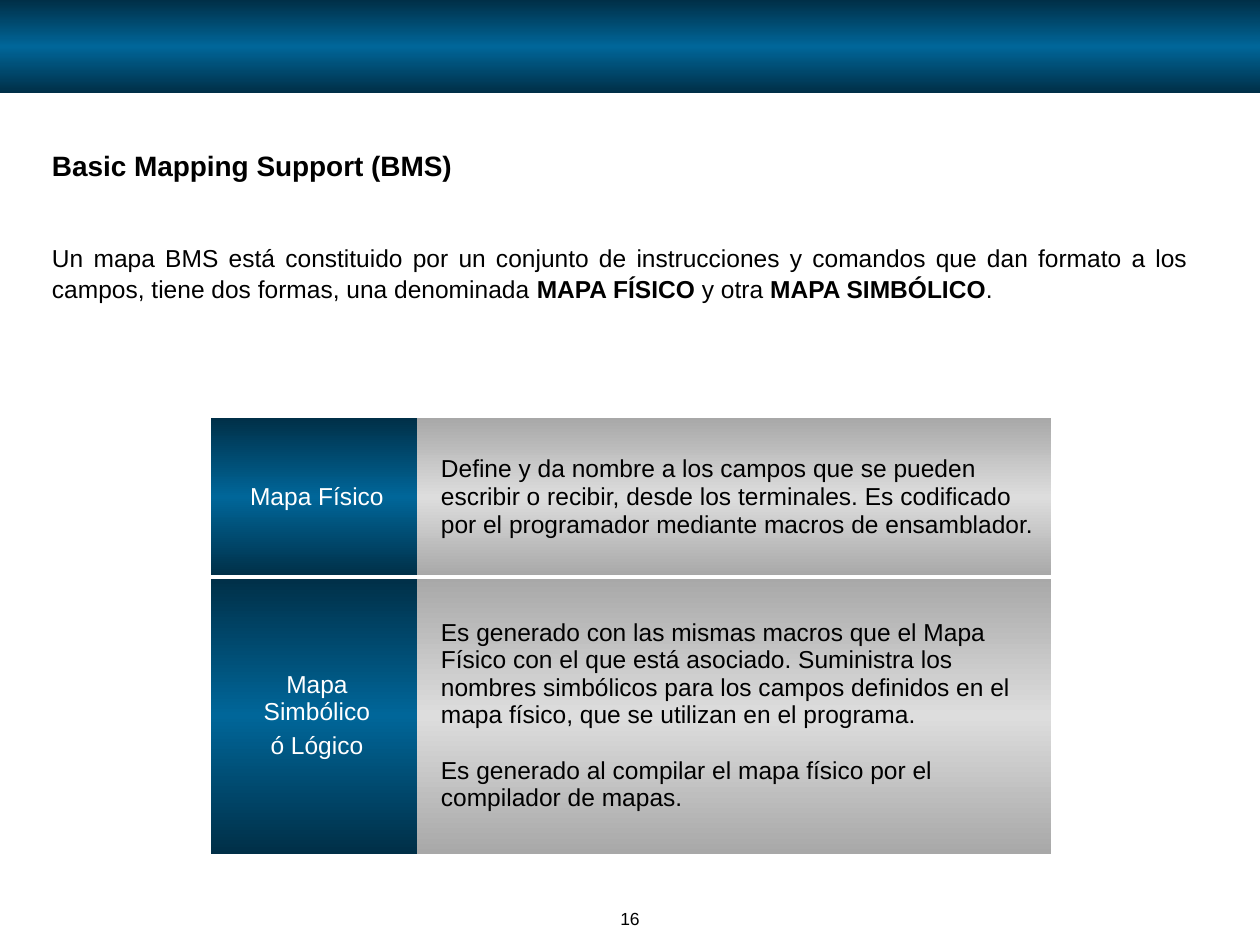
from lxml import etree
from pptx import Presentation
from pptx.dml.color import RGBColor
from pptx.enum.shapes import MSO_SHAPE
from pptx.enum.text import MSO_ANCHOR, PP_ALIGN
from pptx.oxml.ns import qn
from pptx.util import Emu, Pt

RECTANGLE = MSO_SHAPE.RECTANGLE
MIDDLE, BOTTOM, TOP = MSO_ANCHOR.MIDDLE, MSO_ANCHOR.BOTTOM, MSO_ANCHOR.TOP
LEFT, CENTER, JUSTIFY = PP_ALIGN.LEFT, PP_ALIGN.CENTER, PP_ALIGN.JUSTIFY

BLUE = ("002F47", "006699", "002F47")
GRAY = ("A8A8A8", "DDDDDD", "A8A8A8")
BLACK, WHITE = "000000", "FFFFFF"
THIN, THICK = 0.45, 3

HEADING = [("Basic Mapping Support (BMS)", True)]
INTRODUCTION = [
    ("Un mapa BMS está constituido por un conjunto de instrucciones y comandos "
     "que dan formato a los campos, tiene dos formas, una denominada ", False),
    ("MAPA FÍSICO", True),
    (" y otra ", False),
    ("MAPA SIMBÓLICO", True),
    (".", False),
]
MAPS = [
    (["Mapa Físico"],
     ["Define y da nombre a los campos que se pueden escribir o recibir, desde los "
      "terminales. Es codificado por el programador mediante macros de ensamblador."]),
    (["Mapa Simbólico", "ó Lógico"],
     ["Es generado con las mismas macros que el Mapa Físico con el que está asociado. "
      "Suministra los nombres simbólicos para los campos definidos en el mapa físico, "
      "que se utilizan en el programa.",
      "Es generado al compilar el mapa físico por el compilador de mapas."]),
]
PAGE_NUMBER = "16"
COLUMN_WIDTHS = (207, 634)
ROW_HEIGHTS = (160, 277)


def px(length):
    return Emu(round(length * 914400 / 126))


def color(value):
    return RGBColor.from_string(value)


def write(frame, paragraphs, size=14, ink=BLACK, align=LEFT, gap=0, spacing=None):
    for index, spans in enumerate(paragraphs):
        para = frame.paragraphs[0] if index == 0 else frame.add_paragraph()
        para.alignment = align
        para.line_spacing = spacing
        if index:
            para.space_before = Pt(gap)
        for text, bold in [(spans, False)] if isinstance(spans, str) else spans:
            span = para.add_run()
            span.text = text
            span.font.name = "Arial"
            span.font.size = Pt(size)
            span.font.bold = bold
            span.font.color.rgb = color(ink)


def fill_gradient(fill, parent, stops):
    fill.gradient()
    fill.gradient_angle = 90
    stop_list = parent.find(qn("a:gradFill")).find(qn("a:gsLst"))
    for stop in list(stop_list):
        stop_list.remove(stop)
    for index, value in enumerate(stops):
        stop = etree.SubElement(stop_list, qn("a:gs"), pos=str(index * 50000))
        etree.SubElement(stop, qn("a:srgbClr"), val=value)


def set_borders(properties, widths):
    for index, (side, width) in enumerate(widths.items()):
        line = etree.Element(qn("a:ln" + side), w=str(Pt(width)))
        if width:
            solid = etree.SubElement(line, qn("a:solidFill"))
            etree.SubElement(solid, qn("a:srgbClr"), val=WHITE)
        else:
            etree.SubElement(line, qn("a:noFill"))
        properties.insert(index, line)


def add_text(page, left, top, width, height, anchor=TOP, wrap=True):
    frame = page.shapes.add_textbox(px(left), px(top), px(width), px(height)).text_frame
    frame.word_wrap = wrap
    frame.vertical_anchor = anchor
    return frame


def add_banner(page):
    banner = page.shapes.add_shape(RECTANGLE, 0, 0, px(1260), px(93))
    banner.shadow.inherit = False
    banner.line.fill.background()
    fill_gradient(banner.fill, banner._element.spPr, BLUE)


def add_map_table(page):
    table = page.shapes.add_table(
        len(MAPS), 2, px(210), px(417), px(sum(COLUMN_WIDTHS)), px(sum(ROW_HEIGHTS))
    ).table
    table.first_row = False
    table.horz_banding = False
    for column, width in zip(table.columns, COLUMN_WIDTHS):
        column.width = px(width)
    for row, height in zip(table.rows, ROW_HEIGHTS):
        row.height = px(height)
    for row_index, (name, description) in enumerate(MAPS):
        styles = [
            (name, BLUE, (28, 21), {"ink": WHITE, "align": CENTER, "gap": 3.5}),
            (description, GRAY, (24, 12), {"gap": 16}),
        ]
        for column_index, (texts, stops, margins, style) in enumerate(styles):
            cell = table.cell(row_index, column_index)
            cell.vertical_anchor = MIDDLE
            cell.margin_left, cell.margin_right = map(px, margins)
            write(cell.text_frame, texts, **style)
            properties = cell._tc.get_or_add_tcPr()
            fill_gradient(cell.fill, properties, stops)
            set_borders(properties, {
                "L": 0 if column_index else THIN,
                "R": THIN if column_index else 0,
                "T": THICK if row_index else THIN,
                "B": THIN if row_index else THICK,
            })


def main():
    deck = Presentation()
    deck.slide_width, deck.slide_height = px(1260), px(945)
    page = deck.slides.add_slide(deck.slide_layouts[6])
    add_banner(page)
    number = add_text(page, 499, 872, 262, 63, anchor=BOTTOM, wrap=False)
    write(number, [PAGE_NUMBER], size=10, align=CENTER)
    body = add_text(page, 14, 107, 1187, 198)
    body.margin_left, body.margin_top = px(38), px(40)
    write(body, [HEADING, INTRODUCTION], align=JUSTIFY, gap=34, spacing=1.05)
    body.paragraphs[0].runs[0].font.size = Pt(16)
    add_map_table(page)
    deck.save("out.pptx")


if __name__ == "__main__":
    main()
